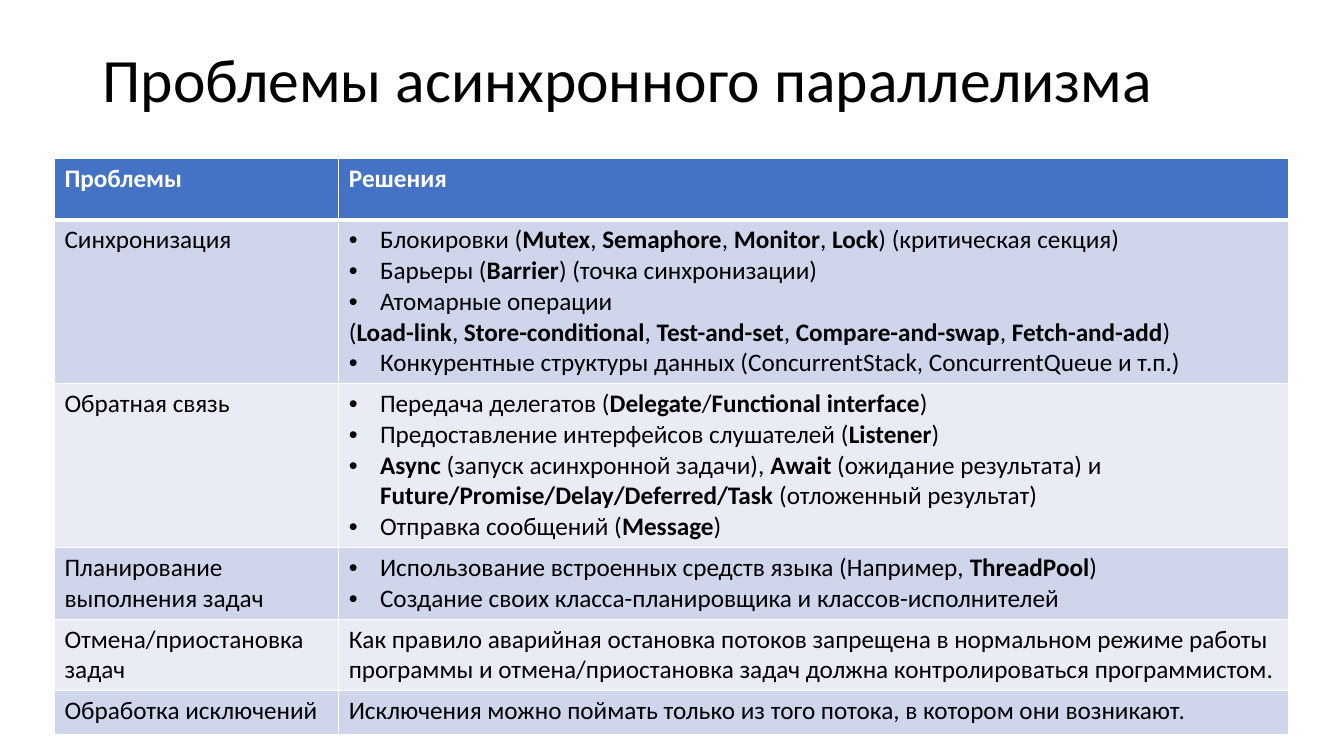
"""Build the slide on problems of asynchronous parallelism and their solutions."""
from dataclasses import dataclass

from lxml import etree
from pptx import Presentation
from pptx import util as u
from pptx.dml.color import RGBColor
from pptx.enum import text
from pptx.oxml import ns

BLACK = RGBColor(0x00, 0x00, 0x00)
WHITE = RGBColor(0xFF, 0xFF, 0xFF)
HEADER_BLUE = RGBColor(0x44, 0x72, 0xC4)
BAND_DARK = RGBColor(0xCF, 0xD5, 0xEA)
BAND_LIGHT = RGBColor(0xE9, 0xEB, 0xF5)

TITLE_FORMAT = {"name": "Calibri", "size": u.Pt(44), "bold": False}
TABLE_FORMAT = {"name": "Calibri", "size": u.Pt(18)}
COLUMN_WIDTHS = (2.82, 9.42)
BULLET = "• "
BULLET_INDENT = u.Inches(0.31)


@dataclass(frozen=True)
class Row:
    """A table row; lines starting with a bullet are list items, ** toggles bold."""
    height: float
    problem: str
    solutions: tuple[str, ...]


ROWS = (
    Row(0.61, "**Проблемы**", ("**Решения**",)),
    Row(1.33, "Синхронизация", (
        "• Блокировки (**Mutex**, **Semaphore**, **Monitor**, **Lock**) (критическая секция)",
        "• Барьеры (**Barrier**) (точка синхронизации)",
        "• Атомарные операции",
        "(**Load-link**, **Store-conditional**, **Test-and-set**, "
        "**Compare-and-swap**, **Fetch-and-add**)",
        "• Конкурентные структуры данных (ConcurrentStack, ConcurrentQueue и т.п.)",
    )),
    Row(1.62, "Обратная связь", (
        "• Передача делегатов (**Delegate**/**Functional interface**)",
        "• Предоставление интерфейсов слушателей (**Listener**)",
        "• **Async** (запуск асинхронной задачи), **Await** (ожидание результата) и "
        "**Future/Promise/Delay/Deferred/Task** (отложенный результат)",
        "• Отправка сообщений (**Message**)",
    )),
    Row(0.61, "Планирование выполнения задач", (
        "• Использование встроенных средств языка (Например, **ThreadPool**)",
        "• Создание своих класса-планировщика и классов-исполнителей",
    )),
    Row(0.61, "Отмена/приостановка задач", (
        "Как правило аварийная остановка потоков запрещена в нормальном режиме работы "
        "программы и отмена/приостановка задач должна контролироваться программистом.",
    )),
    Row(0.43, "Обработка исключений", (
        "Исключения можно поймать только из того потока, в котором они возникают.",
    )),
)


def add_run(paragraph, content: str, color: RGBColor, font_format: dict) -> None:
    """Append a formatted run to a paragraph."""
    run = paragraph.add_run()
    run.text = content
    for name, value in font_format.items():
        setattr(run.font, name, value)
    run.font.color.rgb = color


def add_bullet(paragraph) -> None:
    """Turn a paragraph into a bulleted item with a hanging indent."""
    properties = paragraph._p.get_or_add_pPr()
    properties.set("marL", str(BULLET_INDENT))
    properties.set("indent", str(-BULLET_INDENT))
    etree.SubElement(properties, ns.qn("a:buFont"), typeface="Arial")
    etree.SubElement(properties, ns.qn("a:buChar"), char=BULLET.strip())


def add_borders(cell, widths: dict[str, int]) -> None:
    """Draw white cell borders of the given widths in points."""
    properties = cell._tc.get_or_add_tcPr()
    for side, width in widths.items():
        line = etree.SubElement(properties, ns.qn(f"a:ln{side}"), w=str(u.Pt(width)))
        fill = etree.SubElement(line, ns.qn("a:solidFill"))
        etree.SubElement(fill, ns.qn("a:srgbClr"), val=str(WHITE))


def fill_cell(cell, lines: tuple[str, ...], row_number: int) -> None:
    """Write the lines into a cell and give it the look of its row."""
    is_header = row_number == 0
    if is_header:
        add_borders(cell, {"L": 1, "R": 1, "T": 1, "B": 3})
    else:
        add_borders(cell, {"L": 1, "R": 1, "B": 1})
    cell.fill.solid()
    band = BAND_DARK if row_number % 2 else BAND_LIGHT
    cell.fill.fore_color.rgb = HEADER_BLUE if is_header else band
    frame = cell.text_frame
    for index, line in enumerate(lines):
        paragraph = frame.add_paragraph() if index else frame.paragraphs[0]
        if line.startswith(BULLET):
            add_bullet(paragraph)
        for part_number, part in enumerate(line.removeprefix(BULLET).split("**")):
            if part:
                run_format = TABLE_FORMAT | {"bold": part_number % 2 == 1}
                add_run(paragraph, part, WHITE if is_header else BLACK, run_format)


def add_title(slide, content: str) -> None:
    """Place the slide title."""
    box = slide.shapes.add_textbox(
        u.Inches(0.92), u.Inches(0.36), u.Inches(11.5), u.Inches(0.91))
    frame = box.text_frame
    frame_format = {"word_wrap": True, "vertical_anchor": text.MSO_ANCHOR.MIDDLE}
    for name, value in frame_format.items():
        setattr(frame, name, value)
    paragraph = frame.paragraphs[0]
    paragraph.line_spacing = 0.9
    add_run(paragraph, content, BLACK, TITLE_FORMAT)


def add_problem_table(slide) -> None:
    """Place the table of problems and solutions."""
    table = slide.shapes.add_table(
        len(ROWS), len(COLUMN_WIDTHS), u.Inches(0.54), u.Inches(1.57),
        u.Inches(sum(COLUMN_WIDTHS)), u.Inches(sum(row.height for row in ROWS))).table
    for column, width in zip(table.columns, COLUMN_WIDTHS):
        column.width = u.Inches(width)
    for row_number, row in enumerate(ROWS):
        table.rows[row_number].height = u.Inches(row.height)
        for column_number, lines in enumerate(((row.problem,), row.solutions)):
            fill_cell(table.cell(row_number, column_number), lines, row_number)


def main() -> None:
    """Create and save the presentation."""
    presentation = Presentation()
    presentation.slide_width = u.Inches(13.33)
    presentation.slide_height = u.Inches(7.5)
    slide = presentation.slides.add_slide(presentation.slide_layouts[6])
    add_problem_table(slide)
    add_title(slide, "Проблемы асинхронного параллелизма")
    presentation.save("out.pptx")


if __name__ == "__main__":
    main()
